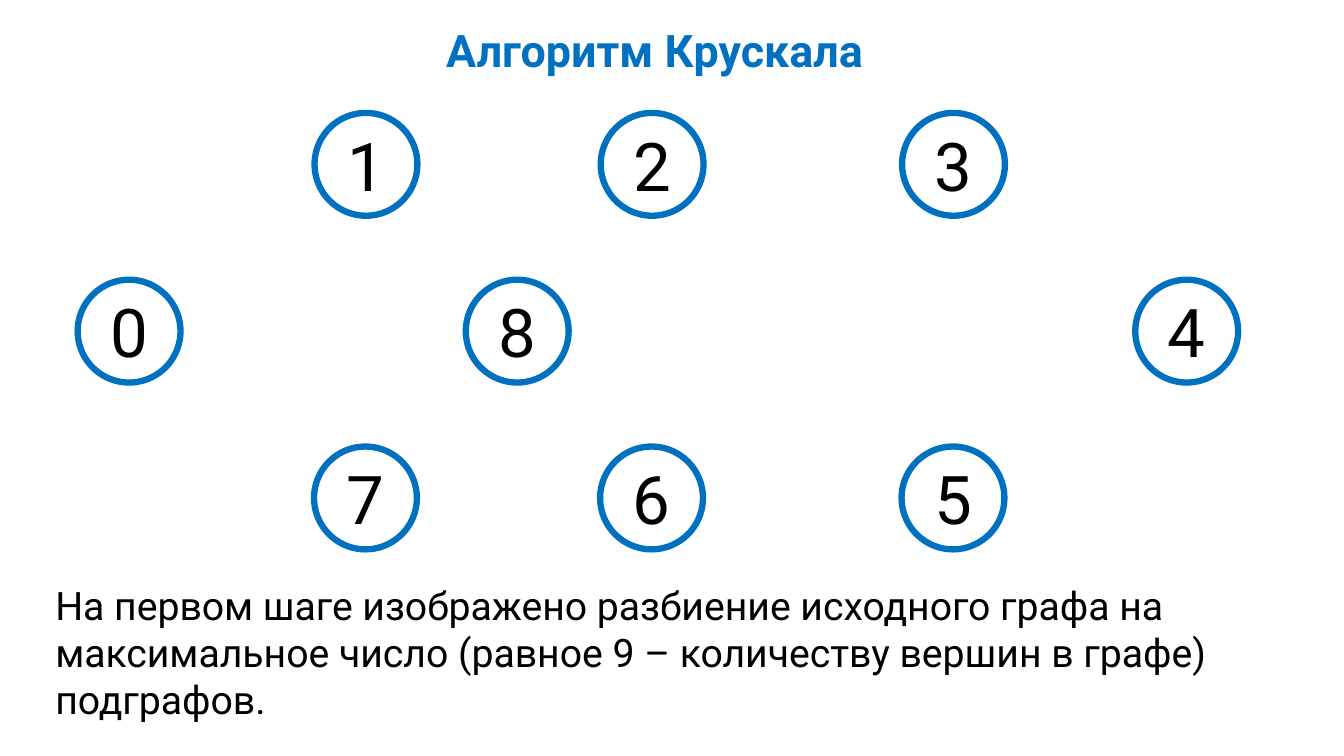
import pptx
import pptx.dml.color
import pptx.enum.shapes
import pptx.enum.text
import pptx.util

Inches = pptx.util.Inches
Pt = pptx.util.Pt
BLUE = pptx.dml.color.RGBColor(0x00, 0x70, 0xC0)
BLACK = pptx.dml.color.RGBColor(0x00, 0x00, 0x00)
WHITE = pptx.dml.color.RGBColor(0xFF, 0xFF, 0xFF)
FONT = "Roboto"
DIAMETER = 1.02

# Column of each vertex in percent of the graph's free width, row in halves of its height
VERTICES = {
    "1": (22.4, 0), "2": (49.45, 0), "3": (77.95, 0),
    "7": (22.35, 2), "6": (49.4, 2), "5": (77.9, 2),
    "0": (0, 1), "4": (100, 1), "8": (36.7, 1),
}


def write(shape, text, size, color, alignment, bold=False):
    paragraph = shape.text_frame.paragraphs[0]
    paragraph.text = text
    paragraph.alignment = alignment
    font = paragraph.runs[0].font
    font.name, font.size, font.bold = FONT, Pt(size), bold
    font.color.rgb = color
    return paragraph


def add_title(slide, left, top, width, height):
    title = slide.shapes.title
    title.left, title.top = Inches(left), Inches(top)
    title.width, title.height = Inches(width), Inches(height)
    frame = title.text_frame
    frame.auto_size = pptx.enum.text.MSO_AUTO_SIZE.NONE
    frame.vertical_anchor = pptx.enum.text.MSO_ANCHOR.TOP
    frame.margin_left = Inches(0.15)
    paragraph = write(title, "Алгоритм Крускала", 32, BLUE,
                      pptx.enum.text.PP_ALIGN.CENTER, bold=True)
    paragraph.line_spacing = 0.9
    paragraph.space_before = Pt(10)


def add_graph(slide, left, top, width, height):
    column = (width - DIAMETER) / 100
    row = (height - DIAMETER) / 2
    for name, (across, down) in VERTICES.items():
        vertex = slide.shapes.add_shape(
            pptx.enum.shapes.MSO_SHAPE.OVAL,
            Inches(left + across * column), Inches(top + down * row),
            Inches(DIAMETER), Inches(DIAMETER))
        vertex.shadow.inherit = False
        vertex.fill.solid()
        vertex.fill.fore_color.rgb = WHITE
        vertex.line.color.rgb = BLUE
        vertex.line.width = Pt(4.5)
        vertex.text_frame.vertical_anchor = pptx.enum.text.MSO_ANCHOR.MIDDLE
        write(vertex, name, 48, BLACK, pptx.enum.text.PP_ALIGN.CENTER)


def add_explanation(slide, left, top, width, height):
    box = slide.shapes.add_textbox(Inches(left), Inches(top), Inches(width), Inches(height))
    box.text_frame.word_wrap = True
    write(box, "На первом шаге изображено разбиение исходного графа на максимальное число "
               "(равное 9 – количеству вершин в графе) подграфов.",
          28, BLACK, pptx.enum.text.PP_ALIGN.LEFT)


def main():
    presentation = pptx.Presentation()
    presentation.slide_width = Inches(13.33)
    presentation.slide_height = Inches(7.5)
    slide = presentation.slides.add_slide(presentation.slide_layouts.get_by_name("Title Only"))
    add_explanation(slide, 0.45, 5.72, 12.44, 1.51)
    add_title(slide, 2.97, 0.24, 7, 0.59)
    add_graph(slide, 0.77, 1.12, 11.51, 4.33)
    presentation.save("out.pptx")


if __name__ == "__main__":
    main()
